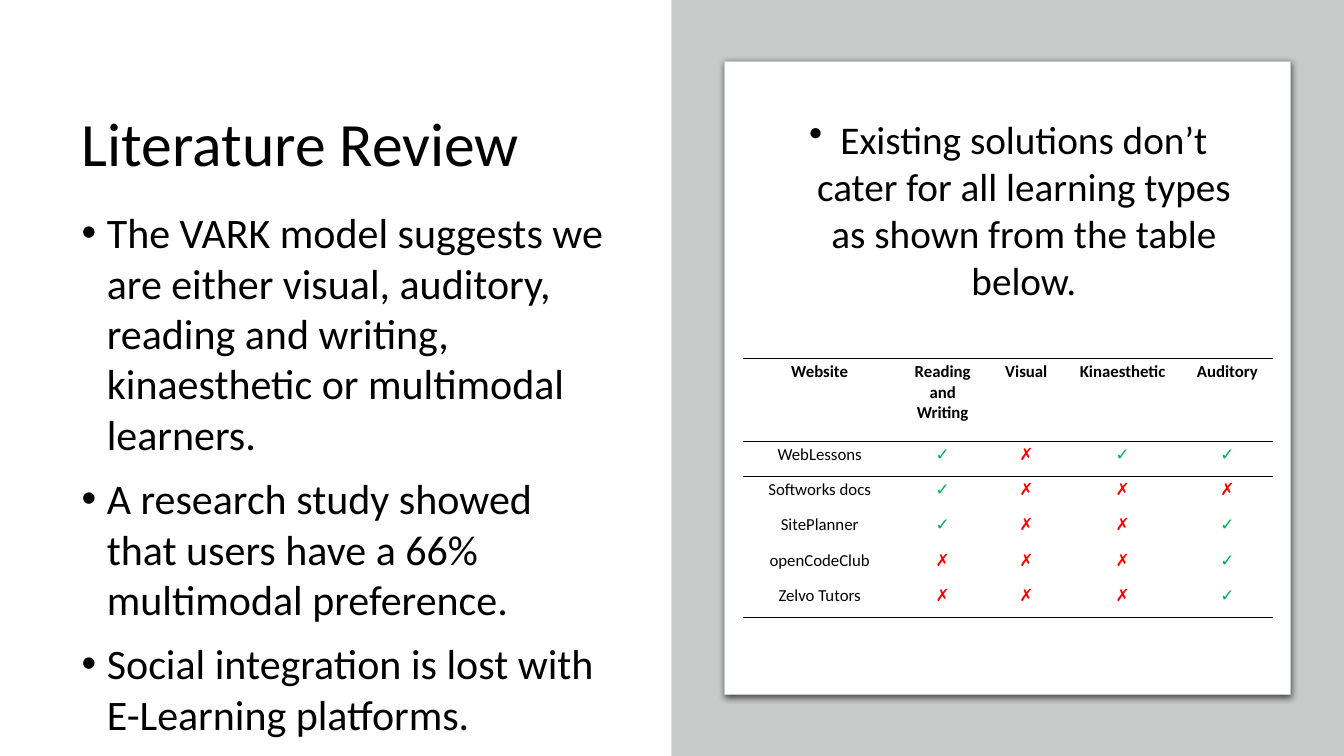
from lxml.etree import SubElement
from pptx import Presentation
from pptx.dml.color import RGBColor
from pptx.enum.shapes import MSO_SHAPE as Shape
from pptx.enum.text import MSO_ANCHOR as Anchor, MSO_AUTO_SIZE as Fit, PP_ALIGN as Align
from pptx.oxml import parse_xml
from pptx.oxml.ns import nsdecls, qn
from pptx.util import Inches, Pt

BLACK = RGBColor(0, 0, 0)
WHITE = RGBColor(255, 255, 255)
GRAY = RGBColor(0xC8, 0xCA, 0xCA)
GREEN = RGBColor(0, 0xB0, 0x50)
RED = RGBColor(255, 0, 0)
MARKS = {"✓": GREEN, "✗": RED}
PLAIN = "{2D5ABB26-0587-4C30-8999-92F81FD0307C}"

TITLE = "Literature Review"
POINTS = [
    "The VARK model suggests we are either visual, auditory, reading and writing, "
    "kinaesthetic or multimodal learners.",
    "A research study showed that users have a 66% multimodal preference.",
    "Social integration is lost with E-Learning platforms.",
]
CLAIM = "Existing solutions don’t cater for all learning types as shown from the table below."
ROWS = [
    ("Website", "Reading and Writing", "Visual", "Kinaesthetic", "Auditory"),
    ("WebLessons", "✓", "✗", "✓", "✓"),
    ("Softworks docs", "✓", "✗", "✗", "✗"),
    ("SitePlanner", "✓", "✗", "✗", "✓"),
    ("openCodeClub", "✗", "✗", "✗", "✓"),
    ("Zelvo Tutors", "✗", "✗", "✗", "✓"),
]
WIDTHS = [1.52, 0.92, 0.74, 1.17, 0.91]
HEIGHTS = [0.82] + [0.35] * 5


def place(shape, *box):
    shape.left, shape.top, shape.width, shape.height = map(Inches, box)


def style(par, size, align=Align.LEFT, color=BLACK, bold=False):
    par.alignment = align
    font = par.font
    font.name, font.size, font.bold = "Calibri", Pt(size), bold
    font.color.rgb = color


def bullet(par, indent):
    props = par._p.get_or_add_pPr()
    props.set("marL", str(Inches(indent)))
    props.set("indent", str(-Inches(indent)))
    mark = parse_xml(f'<a:buChar {nsdecls("a")} char="•"/>')
    props.insert_element_before(mark, "a:tabLst", "a:defRPr", "a:extLst")


def panel(kind, box, fill):
    shape = slide.shapes.add_shape(kind, *map(Inches, box))
    shape.shadow.inherit = False
    shape.fill.solid()
    shape.fill.fore_color.rgb = fill
    return shape


def rule(cell, side):
    line = parse_xml(
        f'<a:{side} {nsdecls("a")} w="{Pt(1)}"><a:solidFill>'
        f'<a:srgbClr val="{BLACK}"/></a:solidFill></a:{side}>'
    )
    cell._tc.get_or_add_tcPr().insert(0, line)


deck = Presentation()
deck.slide_width, deck.slide_height = Inches(13.33), Inches(7.5)
slide = deck.slides.add_slide(deck.slide_layouts[1])

title, body = slide.placeholders
place(title, 0.71, 0.57, 5.41, 1.77)
title.text = TITLE
title.text_frame.auto_size = Fit.NONE
title.text_frame.vertical_anchor = Anchor.MIDDLE
head = title.text_frame.paragraphs[0]
style(head, 44)
head.line_spacing = 0.9

place(body, 0.71, 2, 5.41, 5.17)
body.text = "\n".join(POINTS)
body.text_frame.auto_size = Fit.NONE
for par in body.text_frame.paragraphs:
    style(par, 30)
    par.space_before = Pt(10)
    bullet(par, 0.25)

side = panel(Shape.RECTANGLE, (6.66, 0, 6.67, 7.5), GRAY)
side.line.fill.background()

card = panel(Shape.ROUNDED_RECTANGLE, (7.19, 0.61, 5.61, 6.28), WHITE)
card.adjustments[0] = 0
card.line.color.rgb = GRAY
card.line.width = Pt(0.75)
glow = SubElement(
    card._element.spPr.find(qn("a:effectLst")), qn("a:outerShdw"),
    blurRad=str(Pt(4.5)), dist=str(Pt(1.5)), dir="5400000", rotWithShape="0",
)
tint = SubElement(glow, qn("a:srgbClr"), val=str(BLACK))
SubElement(tint, qn("a:alpha"), val="63000")

frame = slide.shapes.add_table(
    len(ROWS), len(WIDTHS), Inches(7.37), Inches(3.56),
    Inches(sum(WIDTHS)), Inches(sum(HEIGHTS)),
)
table = frame.table
table.first_row = table.horz_banding = False
table._tbl.tblPr.find(qn("a:tableStyleId")).text = PLAIN
for col, width in zip(table.columns, WIDTHS):
    col.width = Inches(width)
for r, (row, height, texts) in enumerate(zip(table.rows, HEIGHTS, ROWS)):
    row.height = Inches(height)
    for cell, text in zip(row.cells, texts):
        cell.text = text
        cell.margin_left = cell.margin_right = Inches(0.06)
        cell.margin_top = cell.margin_bottom = Inches(0.03)
        cell.fill.background()
        style(cell.text_frame.paragraphs[0], 12, Align.CENTER, MARKS.get(text, BLACK), r == 0)
        if r in (0, len(ROWS) - 1):
            rule(cell, "lnB")
        if r in (0, 1):
            rule(cell, "lnT")

note = slide.shapes.add_textbox(*map(Inches, (7.54, 1.09, 4.92, 1.99)))
note.text_frame.word_wrap = True
note.text_frame.auto_size = Fit.SHAPE_TO_FIT_TEXT
note.text_frame.text = CLAIM
claim = note.text_frame.paragraphs[0]
style(claim, 28, Align.CENTER)
bullet(claim, 0.31)

deck.save("out.pptx")
